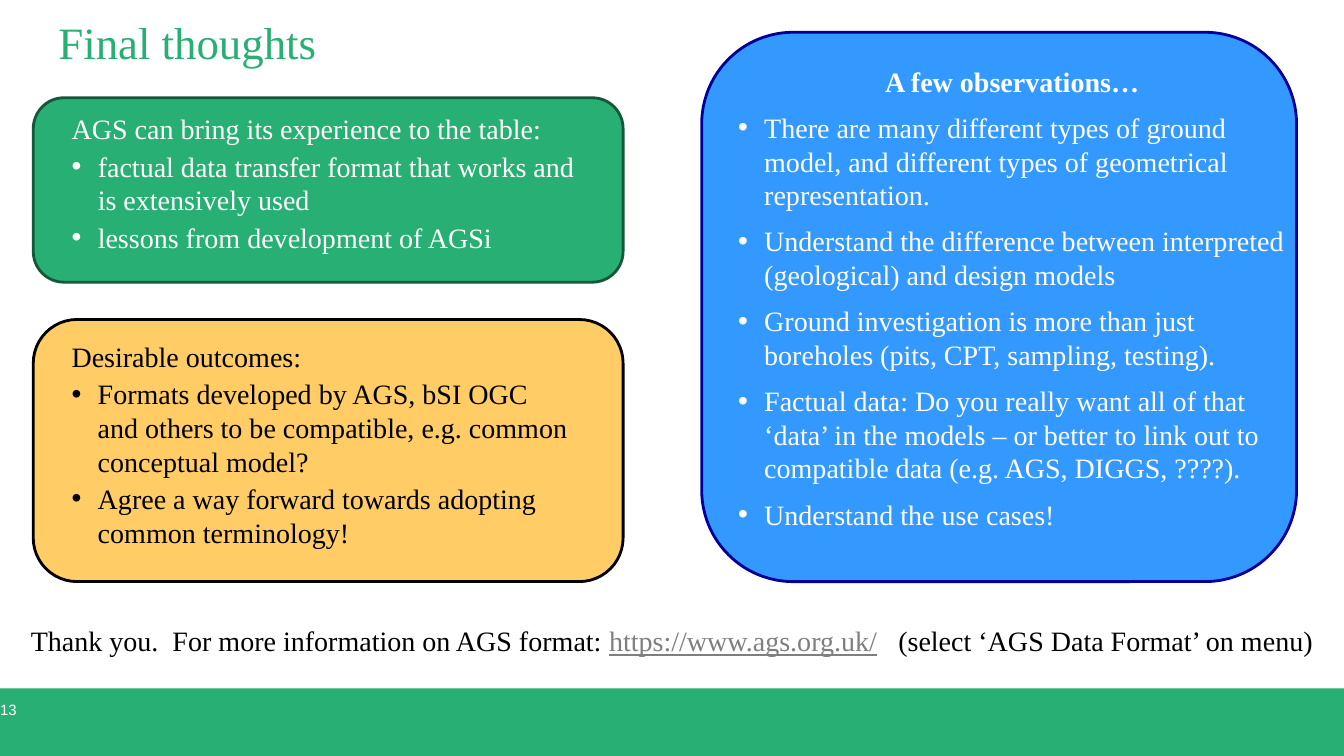
from pptx import Presentation
from pptx.dml.color import RGBColor
from pptx.enum.shapes import MSO_SHAPE as Shape
from pptx.enum.text import MSO_ANCHOR as Anchor, MSO_AUTO_SIZE as AutoSize, PP_ALIGN as Align
from pptx.oxml.ns import qn
from pptx.util import Inches, Pt
from lxml.etree import SubElement

GREEN, WHITE, BLACK, NAVY = "28AF73", "FFFFFF", "000000", "000099"
SERIF = "Times New Roman"

TITLE = "Final thoughts"
PAGE = "13"
EXPERIENCE = {
    "card": (0.33, 0.97, 5.85, 1.83), "fill": GREEN, "line": "145839",
    "text": (0.71, 1.11, 5.1, 1.53), "color": WHITE, "gap": 2.6,
    "heading": "AGS can bring its experience to the table:",
    "bullets": [
        "factual data transfer format that works and is extensively used",
        "lessons from development of AGSi",
    ],
}
OUTCOMES = {
    "card": (0.33, 3.17, 5.85, 2.6), "fill": "FFCC66", "line": BLACK,
    "text": (0.71, 3.37, 4.93, 2.24), "color": BLACK, "gap": 2.6,
    "heading": "Desirable outcomes:",
    "bullets": [
        "Formats developed by AGS, bSI OGC and others to be compatible, "
        "e.g. common conceptual model?",
        "Agree a way forward towards adopting common terminology!",
    ],
}
OBSERVATIONS = {
    "card": (6.96, 0.32, 5.9, 5.45), "fill": "3399FF", "line": NAVY,
    "text": (7.32, 0.61, 5.44, 4.99), "color": WHITE, "gap": 9,
    "heading": "A few observations…",
    "bullets": [
        "There are many different types of ground model, and different types "
        "of geometrical representation.",
        "Understand the difference between interpreted (geological) and design models",
        "Ground investigation is more than just boreholes (pits, CPT, sampling, testing).",
        "Factual data: Do you really want all of that ‘data’ in the models – or better "
        "to link out to compatible data (e.g. AGS, DIGGS, ????).",
        "Understand the use cases!",
    ],
}
CLOSING = [
    ("Thank you.  For more information on AGS format: ", BLACK, False),
    ("https://www.ags.org.uk/", "7F7F7F", True),
    ("   ", NAVY, False),
    ("(select ‘AGS Data Format’ on menu)", BLACK, False),
]


def rgb(color):
    return RGBColor.from_string(color)


def box(place):
    return [Inches(length) for length in place]


def add_run(paragraph, text, color, size=20, font=SERIF, bold=False, underline=False):
    run = paragraph.add_run()
    run.text = text
    run.font.name = font
    run.font.size = Pt(size)
    run.font.bold = bold
    run.font.underline = underline
    run.font.color.rgb = rgb(color)


def add_panel(slide, kind, place, fill, line=None):
    shape = slide.shapes.add_shape(kind, *box(place))
    shape.shadow.inherit = False
    shape.fill.solid()
    shape.fill.fore_color.rgb = rgb(fill)
    if line:
        shape.line.color.rgb = rgb(line)
        shape.line.width = Pt(2)
    else:
        shape.line.fill.background()


def prepare(shape, place, anchor=Anchor.TOP):
    shape.left, shape.top, shape.width, shape.height = box(place)
    frame = shape.text_frame
    frame.word_wrap = True
    frame.auto_size = AutoSize.NONE
    frame.vertical_anchor = anchor
    frame.margin_left = frame.margin_top = frame.margin_right = frame.margin_bottom = 0
    return frame


def add_text_box(slide, place):
    return slide.shapes.add_textbox(*box(place))


def set_bullet(paragraph, color=None):
    properties = paragraph._p.get_or_add_pPr()
    indent = Inches(0.26) if color else 0
    properties.set("marL", str(indent))
    properties.set("indent", str(-indent))
    if color:
        bullet_color = SubElement(properties, qn("a:buClr"))
        SubElement(bullet_color, qn("a:srgbClr")).set("val", color)
        SubElement(properties, qn("a:buFont")).set("typeface", "Arial")
        SubElement(properties, qn("a:buChar")).set("char", "•")
    else:
        SubElement(properties, qn("a:buNone"))


def fill_card(shape, card):
    frame = prepare(shape, card["text"])
    heading = frame.paragraphs[0]
    heading.space_before = Pt(2.6)
    set_bullet(heading)
    centred = card is OBSERVATIONS
    if centred:
        heading.alignment = Align.CENTER
        heading.line_spacing = Pt(26)
    add_run(heading, card["heading"], card["color"], bold=centred)
    for text in card["bullets"]:
        paragraph = frame.add_paragraph()
        paragraph.space_before = Pt(card["gap"])
        set_bullet(paragraph, card["color"])
        add_run(paragraph, text, card["color"])


def main():
    presentation = Presentation()
    presentation.slide_width, presentation.slide_height = box((13.33, 7.5))
    slide = presentation.slides.add_slide(presentation.slide_layouts[1])
    title, body = slide.shapes.title, slide.placeholders[1]

    add_panel(slide, Shape.RECTANGLE, (0, 6.83, 13.33, 0.67), GREEN)
    page = prepare(add_text_box(slide, (0, 6.84, 0.42, 0.4)), (0, 6.84, 0.42, 0.4), Anchor.MIDDLE)
    add_run(page.paragraphs[0], PAGE, WHITE, 10.7, "Arial")

    for card in (OUTCOMES, EXPERIENCE, OBSERVATIONS):
        add_panel(slide, Shape.ROUNDED_RECTANGLE, card["card"], card["fill"], card["line"])

    for placeholder in (body, title):
        placeholder.element.getparent().append(placeholder.element)
    fill_card(body, EXPERIENCE)
    heading = prepare(title, (0.58, 0.21, 12.42, 0.64)).paragraphs[0]
    heading.alignment = Align.LEFT
    heading.line_spacing = Pt(34)
    add_run(heading, TITLE, GREEN, 32)

    for card in (OUTCOMES, OBSERVATIONS):
        fill_card(add_text_box(slide, card["text"]), card)

    closing = add_text_box(slide, (0, 6.14, 13.33, 0.44)).text_frame
    closing.word_wrap = True
    closing.paragraphs[0].alignment = Align.CENTER
    for text, color, underline in CLOSING:
        add_run(closing.paragraphs[0], text, color, underline=underline)

    presentation.save("out.pptx")


if __name__ == "__main__":
    main()
